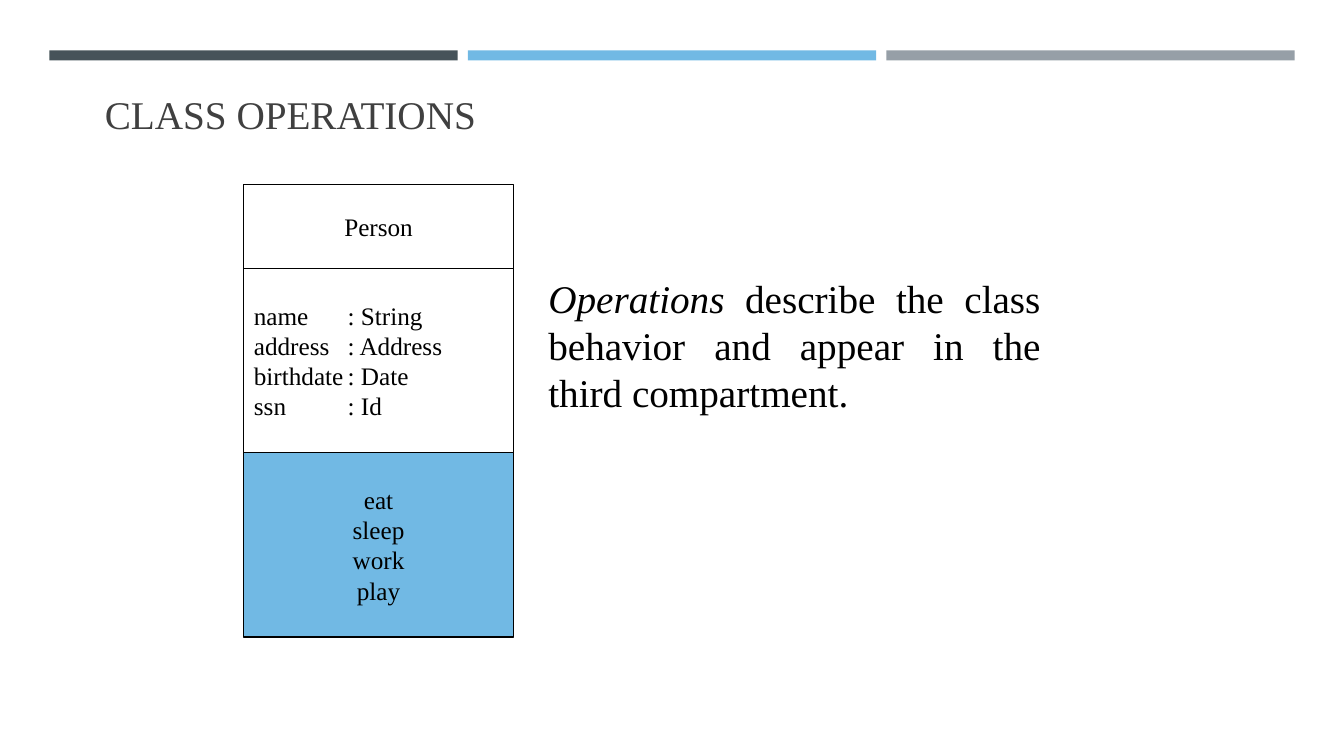
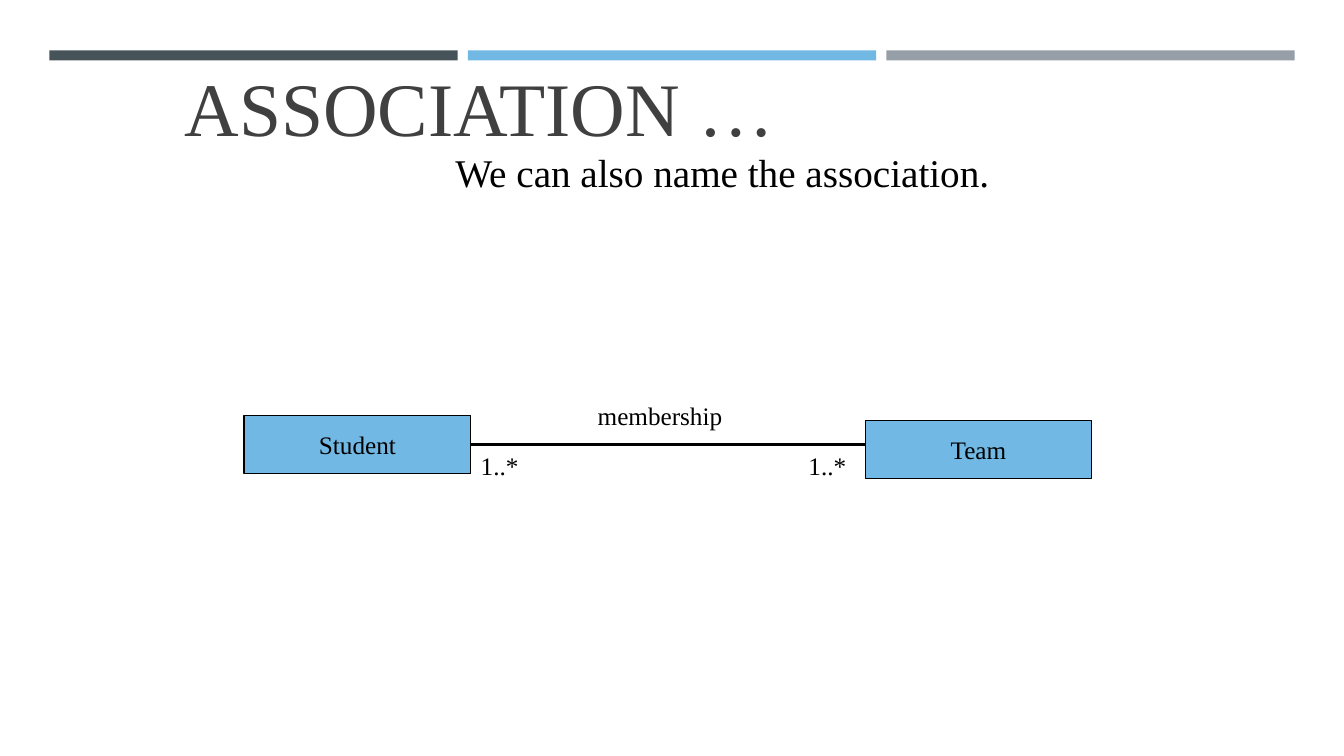
from dataclasses import dataclass
from lxml import etree
from pptx import Presentation
from pptx.dml.color import RGBColor
from pptx.enum import shapes as es, text as et
from pptx.oxml import ns
from pptx.util import Inches, Pt


@dataclass(frozen=True)
class Theme:
    font: str = "Times New Roman"
    ink: str = "000000"
    title: str = "404040"
    dark: str = "465359"
    blue: str = "71B9E4"
    grey: str = "969FA7"
    white: str = "FFFFFF"
    small: int = 18
    large: int = 28
    huge: int = 54


T = Theme()
LEFT, MID, JUST = et.PP_ALIGN.LEFT, et.PP_ALIGN.CENTER, et.PP_ALIGN.JUSTIFY


def write(shape, words, size, align=LEFT, color=T.ink):
    """Fill a shape with text and format every run."""
    frame = shape.text_frame
    frame.text = words
    frame.word_wrap = True
    for para in frame.paragraphs:
        para.alignment = align
        for run in para.runs:
            run.font.name = T.font
            run.font.size = Pt(size)
            run.font.color.rgb = RGBColor.from_string(color)
    return frame


def box(slide, place, fill, line=True):
    """Add a flat rectangle, outlined or plain."""
    rect = slide.shapes.add_shape(es.MSO_SHAPE.RECTANGLE, *map(Inches, place))
    rect.shadow.inherit = False
    rect.fill.solid()
    rect.fill.fore_color.rgb = RGBColor.from_string(fill)
    if line:
        rect.line.color.rgb = RGBColor.from_string(T.ink)
        rect.line.width = Pt(0.75)
    else:
        rect.line.fill.background()
    rect.text_frame.vertical_anchor = et.MSO_ANCHOR.MIDDLE
    return rect


deck = Presentation()
deck.slide_width, deck.slide_height = Inches(13.33), Inches(7.5)
layout = deck.slide_layouts[5]

# Slides with their titles
heads = [
    ("CLASS OPERATIONS", (0.94, 0.83, 11.44, 0.58), T.large),
    ("ASSOCIATION …", (1.73, 0.97, 8.83, 0.58), T.huge),
]
pages = []
for words, place, size in heads:
    page = deck.slides.add_slide(layout)
    title = page.shapes.title
    title.left, title.top, title.width, title.height = map(Inches, place)
    frame = write(title, words, size, color=T.title)
    frame.auto_size = et.MSO_AUTO_SIZE.NONE
    frame.vertical_anchor = et.MSO_ANCHOR.BOTTOM
    pages.append(page)
first, second = pages

# Three bands, moved to the shared layout
for i, color in enumerate((T.dark, T.blue, T.grey)):
    band = box(first, (0.49 + i * 4.15, 0.5, 4.05, 0.1), color, line=False)
    layout.shapes.element.append(band.element)

# Slide 1: class with three compartments
fields = "name\t: String\naddress\t: Address\nbirthdate\t: Date\nssn\t: Id"
parts = [
    ("Person", 0.83, T.white, MID),
    (fields, 1.83, T.white, LEFT),
    ("eat\nsleep\nwork\nplay", 1.83, T.blue, MID),
]
top = 1.83
for words, high, fill, align in parts:
    part = box(first, (2.42, top, 2.67, high), fill)
    frame = write(part, words, T.small, align)
    top += high
    if words == fields:
        for para in frame.paragraphs:
            props = para._p.get_or_add_pPr()
            tabs = etree.SubElement(props, ns.qn("a:tabLst"))
            etree.SubElement(tabs, ns.qn("a:tab"), pos=str(Inches(0.93)), algn="l")

# Slide 1: explanation
note = first.shapes.add_textbox(*map(Inches, (5.34, 2.67, 5.08, 1.51)))
frame = write(note, "Operations", T.large, JUST)
frame.paragraphs[0].runs[0].font.italic = True
rest = frame.paragraphs[0].add_run()
rest.text = " describe the class behavior and appear in the third compartment."
rest.font.name = T.font
rest.font.size = Pt(T.large)
rest.font.color.rgb = RGBColor.from_string(T.ink)

# Slide 2: two classes and the line between them
pupil = box(second, (2.42, 4.12, 2.25, 0.58), T.blue)
write(pupil, "Student", T.small, MID)
axis = Inches(4.41)
link = second.shapes.add_connector(
    es.MSO_CONNECTOR.STRAIGHT, Inches(4.67), axis, Inches(8.67), axis)
link.begin_connect(pupil, 3)
link.line.color.rgb = RGBColor.from_string(T.ink)
link.line.width = Pt(2.25)
etree.SubElement(link.element.spPr, ns.qn("a:effectLst"))
team = box(second, (8.58, 4.17, 2.25, 0.58), T.blue)
write(team, "Team", T.small, MID)

# Slide 2: lead sentence and labels
labels = [
    ("We can also name the association.", (3.33, 1.42, 7.67, 0.57), T.large, MID),
    ("membership", (5.83, 3.92, 1.92, 0.4), T.small, LEFT),
    ("1..*", (4.67, 4.42, 0.83, 0.4), T.small, LEFT),
    ("1..*", (7.92, 4.42, 0.75, 0.4), T.small, LEFT),
]
for words, place, size, align in labels:
    label = second.shapes.add_textbox(*map(Inches, place))
    write(label, words, size, align)

deck.save("out.pptx")
